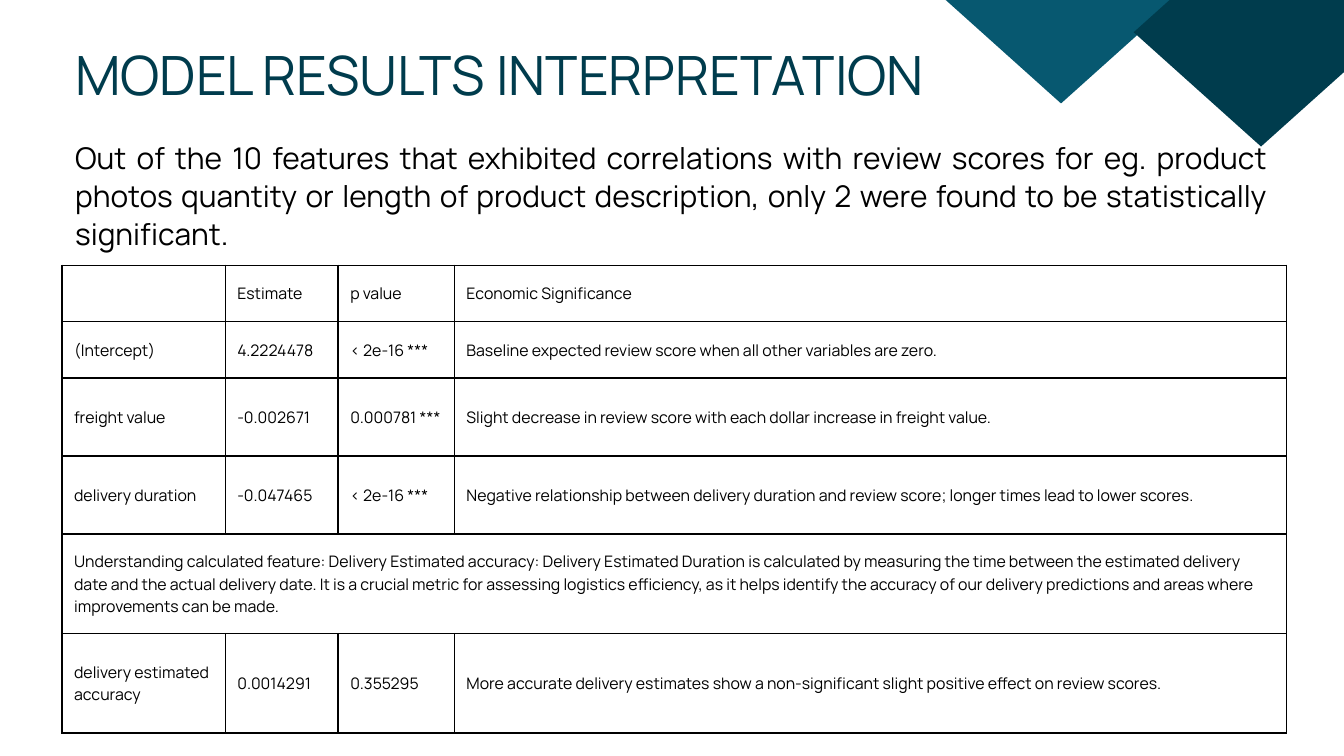
from lxml import etree
from pptx import Presentation
from pptx.dml.color import RGBColor
from pptx.enum.shapes import MSO_SHAPE as Shape
from pptx.enum.text import MSO_ANCHOR as Anchor, MSO_AUTO_SIZE as Auto, PP_ALIGN as Align
from pptx.oxml.ns import qn
from pptx.util import Cm, Pt


def paint(target, color):
    target.rgb = RGBColor.from_string(color)


def write(frame, text, size, color, line, inset=0, align=Align.LEFT):
    frame.text = text
    frame.word_wrap = True
    para = frame.paragraphs[0]
    para.alignment = align
    para.line_spacing = Pt(line)
    para.font.name = "Manrope"
    para.font.size = Pt(size)
    paint(para.font.color, color)
    frame.margin_left = frame.margin_right = Cm(inset)
    frame.margin_top = frame.margin_bottom = Cm(inset)


deck = Presentation()
deck.slide_width, deck.slide_height = Cm(50.8), Cm(28.58)
slide = deck.slides.add_slide(deck.slide_layouts[5])
shapes = slide.shapes

rows = [
    ["", "Estimate", "p value", "Economic Significance"],
    ["(Intercept)", "4.2224478", "< 2e-16 ***",
     "Baseline expected review score when all other variables are zero."],
    ["freight value", "-0.002671", "0.000781 ***",
     "Slight decrease in review score with each dollar increase in freight value."],
    ["delivery duration", "-0.047465", "< 2e-16 ***",
     "Negative relationship between delivery duration and review score; "
     "longer times lead to lower scores."],
    ["Understanding calculated feature: Delivery Estimated accuracy: Delivery Estimated "
     "Duration is calculated by measuring the time between the estimated delivery date and "
     "the actual delivery date. It is a crucial metric for assessing logistics efficiency, "
     "as it helps identify the accuracy of our delivery predictions and areas where "
     "improvements can be made.", "", "", ""],
    ["delivery estimated accuracy", "0.0014291", "0.355295",
     "More accurate delivery estimates show a non-significant slight positive effect on "
     "review scores."],
]
widths = [6.17, 4.27, 4.39, 31.45]
heights = [2.13, 2.13, 2.95, 2.95, 3.76, 3.76]

table = shapes.add_table(len(rows), len(widths), Cm(2.34), Cm(10.03),
                         Cm(sum(widths)), Cm(sum(heights))).table
table.first_row = table.horz_banding = False
for col, width in zip(table.columns, widths):
    col.width = Cm(width)
for row, height, texts in zip(table.rows, heights, rows):
    row.height = Cm(height)
    for cell, text in zip(row.cells, texts):
        write(cell.text_frame, text, 17, "000000", 23.8)
        cell.margin_left = cell.margin_right = Cm(0.46)
        cell.margin_top = cell.margin_bottom = Cm(0.46)
        cell.vertical_anchor = Anchor.MIDDLE
        props = cell._tc.get_or_add_tcPr()
        for side in ("lnL", "lnR", "lnT", "lnB"):
            edge = etree.SubElement(props, qn(f"a:{side}"), w=str(Pt(1.5)))
            solid = etree.SubElement(edge, qn("a:solidFill"))
            etree.SubElement(solid, qn("a:srgbClr"), val="000000")
        cell.fill.background()
table.cell(4, 0).merge(table.cell(4, 3))

title = shapes.title
title.left, title.top, title.width, title.height = Cm(2.84), Cm(1.17), Cm(34.8), Cm(2.92)
write(title.text_frame, "MODEL RESULTS INTERPRETATION", 58, "003C4D", 81.2)
title.text_frame.vertical_anchor = Anchor.TOP
title.text_frame.auto_size = Auto.NONE

intro = shapes.add_textbox(Cm(2.84), Cm(5.21), Cm(45.09), Cm(4.34))
write(intro.text_frame,
      "Out of the 10 features that exhibited correlations with review scores for eg. product "
      "photos quantity or length of product description, only 2 were found to be "
      "statistically significant.", 32, "000000", 40.6, align=Align.JUSTIFY)

for left, top, width, height, color in [
    (35.05, -5.16, 10.11, 9.07, "075870"),
    (42.85, -3.1, 9.63, 8.64, "003C4D"),
]:
    gem = shapes.add_shape(Shape.DIAMOND, Cm(left), Cm(top), Cm(width), Cm(height))
    gem.shadow.inherit = False
    gem.fill.solid()
    paint(gem.fill.fore_color, color)
    gem.line.fill.background()

deck.save("out.pptx")
